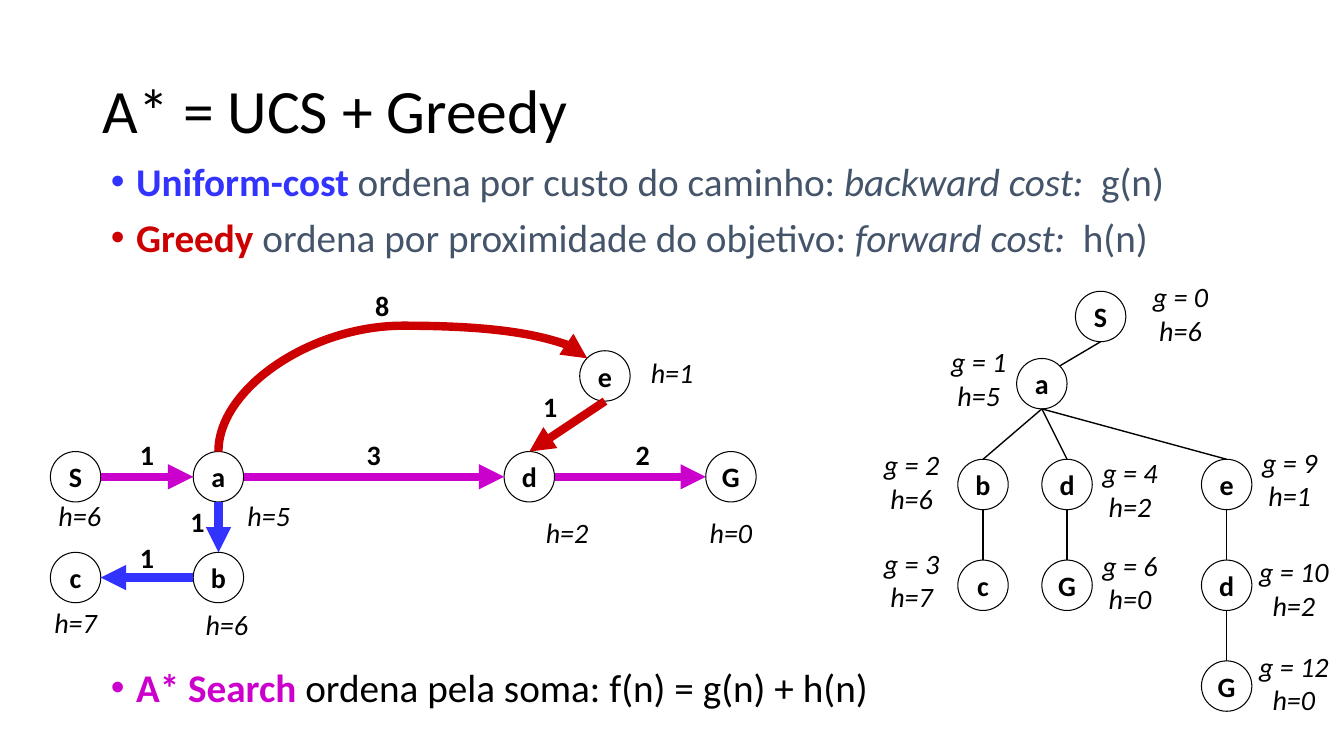
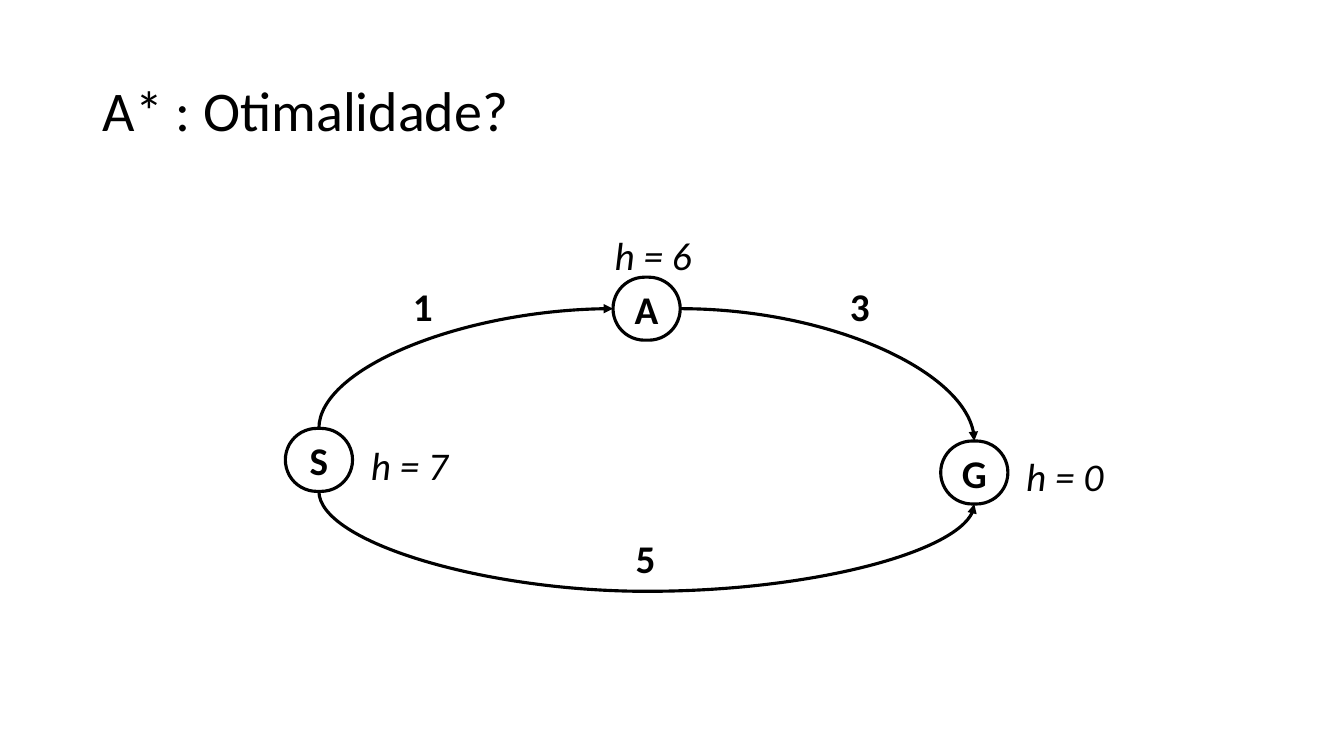
from collections import namedtuple

from lxml.etree import SubElement as Sub
from pptx import Presentation
from pptx.dml.color import RGBColor as RGB
from pptx.enum.shapes import MSO_CONNECTOR as Link, MSO_SHAPE as Form
from pptx.enum.text import MSO_ANCHOR as Anchor, MSO_AUTO_SIZE as Fit, PP_ALIGN as Align
from pptx.oxml.ns import qn
from pptx.util import Inches, Pt

FONT = "Calibri"
BLACK, WHITE = RGB(0, 0, 0), RGB(255, 255, 255)
BLUE, RED = RGB(0x33, 0x33, 0xFF), RGB(0xCC, 0, 0)
PURPLE, SLATE = RGB(0xCC, 0, 0xCC), RGB(0x44, 0x54, 0x6A)

WIDE, HIGH = Inches(13.33), Inches(7.5)
CELL = Inches(1) // 12  # grid step of every diagram

# Points on a node's outline, as shares of its box
PORTS = {"top": (0.5, 0), "left": (0, 0.5), "bottom": (0.5, 1), "right": (1, 0.5),
         "northwest": (0.15, 0.15), "northeast": (0.85, 0.15)}

Look = namedtuple("Look", "form wide high fill line size align room")
Node = namedtuple("Node", "text col row label lcol lrow")
Edge = namedtuple("Edge", "tail out head into color width arrow bend")
Bend = namedtuple("Bend", "kind turn flips adjust")
Mark = namedtuple("Mark", "text col row")

ROUND = Look(Form.OVAL, 6, 6, WHITE, 0.75, 20, Align.CENTER, 12)
PILL = Look(Form.ROUNDED_RECTANGLE, 8, 7.5, None, 2.25, 28, Align.LEFT, 13)


def style(font, size, color=BLACK, bold=None, italic=None):
    font.name, font.size, font.bold, font.italic = FONT, Pt(size), bold, italic
    font.color.rgb = color


def title(slide, text, size):
    box = slide.shapes.title
    box.left, box.top, box.width, box.height = Inches(0.92), Inches(0.4), Inches(11.5), Inches(1.45)
    frame = box.text_frame
    frame.auto_size, frame.vertical_anchor = Fit.NONE, Anchor.MIDDLE
    frame.text = text
    para = frame.paragraphs[0]
    para.alignment, para.line_spacing = Align.LEFT, 0.9
    style(para.font, size)


def bullets(slide, items):
    """Fill the body with (space before, runs) items; a run is (text, colour, bold, italic)."""
    body = slide.placeholders[1]
    body.left, body.top, body.width, body.height = Inches(1), Inches(1.56), Inches(12.33), Inches(5.5)
    frame = body.text_frame
    frame.auto_size = Fit.NONE
    for i, (gap, runs) in enumerate(items):
        para = frame.add_paragraph() if i else frame.paragraphs[0]
        props = para._p.get_or_add_pPr()
        props.set("marL", str(Inches(0.25)))
        props.set("indent", str(-Inches(0.25)))
        para.space_before, para.line_spacing = Pt(gap), 0.9
        for text, color, bold, italic in runs:
            run = para.add_run()
            run.text = text
            style(run.font, 28, color, bold, italic)


def node(slide, x, y, text, look):
    dot = slide.shapes.add_shape(look.form, x, y, int(look.wide * CELL), int(look.high * CELL))
    dot.shadow.inherit = False
    if look.form == Form.ROUNDED_RECTANGLE:
        dot.adjustments[0] = 0.5
    if look.fill is None:
        dot.fill.background()
    else:
        dot.fill.solid()
        dot.fill.fore_color.rgb = look.fill
    dot.line.color.rgb, dot.line.width = BLACK, Pt(look.line)
    frame = dot.text_frame
    frame.word_wrap, frame.vertical_anchor = False, Anchor.MIDDLE
    frame.text = text
    para = frame.paragraphs[0]
    para.alignment = Align.CENTER
    style(para.font, look.size, bold=True)
    return dot


def label(slide, x, y, text, look, bold=False):
    """Write text centred on x, or starting at x, as the look asks."""
    wide = look.room * CELL
    if look.align == Align.CENTER:
        x -= wide // 2
    box = slide.shapes.add_textbox(x, y, wide, Pt(look.size * 1.5))
    frame = box.text_frame
    frame.word_wrap = True
    frame.text = text
    para = frame.paragraphs[0]
    para.alignment = look.align
    style(para.font, look.size, bold=bold, italic=not bold)


def port(dot, side):
    across, down = PORTS[side]
    return int(dot.left + across * dot.width), int(dot.top + down * dot.height)


def curve(slide, start, end, bend):
    """Add a curved connector whose box is turned about its centre."""
    (ax, ay), (bx, by) = start, end
    wide, high = abs(bx - ax), abs(by - ay)
    if bend.turn % 180:
        wide, high = high, wide
    left, top = (ax + bx - wide) // 2, (ay + by - high) // 2
    line = slide.shapes.add_connector(Link.CURVE, left, top, left + wide, top + high)
    props = line.element.spPr
    frame, geom = props.find(qn("a:xfrm")), props.find(qn("a:prstGeom"))
    frame.set("rot", str(bend.turn * 60000))
    for axis in bend.flips:
        frame.set("flip" + axis, "1")
    geom.set("prst", bend.kind)
    if bend.adjust:
        guide = Sub(geom.find(qn("a:avLst")), qn("a:gd"))
        guide.set("name", "adj1")
        guide.set("fmla", f"val {round(bend.adjust * 100000)}")
    return line


def join(slide, dots, edge):
    start, end = port(dots[edge.tail], edge.out), port(dots[edge.head], edge.into)
    if edge.bend:
        line = curve(slide, start, end, edge.bend)
    else:
        line = slide.shapes.add_connector(Link.STRAIGHT, *start, *end)
    line.line.color.rgb, line.line.width = edge.color, Pt(edge.width)
    props = line.element.spPr
    if edge.arrow:
        Sub(props.find(qn("a:ln")), qn("a:tailEnd")).set("type", "triangle")
    Sub(props, qn("a:effectLst"))


def graph(slide, left, top, look, nodes, edges, marks=()):
    """Draw nodes, edges and labels on a grid whose corner is at left, top."""
    def spot(col, row):
        return int(left + col * CELL), int(top + row * CELL)

    dots = {key: node(slide, *spot(n.col, n.row), n.text, look) for key, n in nodes.items()}
    for edge in edges:
        join(slide, dots, edge)
    for n in nodes.values():
        label(slide, *spot(n.lcol, n.lrow), n.label, look)
    for mark in marks:
        label(slide, *spot(mark.col, mark.row), mark.text, look, bold=True)


def space(slide, left, top):
    """State graph with the paths of the three searches."""
    nodes = {
        "S": Node("S", 0, 12, "h=6", 3.5, 17),
        "a": Node("a", 17, 12, "h=5", 26, 17),
        "d": Node("d", 54, 12, "h=2", 61.5, 19),
        "G": Node("G", 78, 12, "h=0", 81, 19),
        "b": Node("b", 17, 24, "h=6", 21, 30),
        "c": Node("c", 0, 24, "h=7", 3, 29.75),
        "e": Node("e", 63, 0, "h=1", 74, 0),
    }
    arc = Bend("curvedConnector3", 270, "", 1.35)
    routes = [
        ("a", "bottom", "b", "top", BLUE, None),
        ("b", "left", "c", "right", BLUE, None),
        ("e", "bottom", "d", "top", RED, None),
        ("a", "top", "e", "northwest", RED, arc),
        ("d", "right", "G", "left", PURPLE, None),
        ("S", "right", "a", "left", PURPLE, None),
        ("a", "right", "d", "left", PURPLE, None),
    ]
    edges = [Edge(*ends, color, 6, True, bend) for *ends, color, bend in routes]
    marks = [Mark("1", 11.5, 9.75), Mark("8", 39.5, -8), Mark("1", 11.5, 22),
             Mark("1", 17.5, 17.75), Mark("2", 70.5, 9.75), Mark("3", 38.5, 9.75),
             Mark("1", 59.5, 4)]
    graph(slide, left, top, ROUND, nodes, edges, marks)


def tree(slide, left, top):
    """Search tree with the g and h of each node."""
    nodes = {
        "S": Node("S", 14, 0, "g = 0 h=6", 26.5, -2),
        "a": Node("a", 7, 8, "g = 1 h=5", 2.5, 5.75),
        "b": Node("b", 0, 20, "g = 2 h=6", -5.5, 18),
        "bc": Node("c", 0, 32, "g = 3 h=7", -5.5, 29.75),
        "e": Node("e", 29, 20, "g = 9 h=1", 39.5, 17.75),
        "d": Node("d", 10, 20, "g = 4 h=2", 20.5, 19),
        "ed": Node("d", 29, 32, "g = 10 h=2", 40, 30.75),
        "dG": Node("G", 10, 32, "g = 6 h=0", 20.5, 30),
        "edG": Node("G", 29, 44, "g = 12 h=0", 40, 42),
    }
    pairs = [("S", "a"), ("a", "b"), ("a", "d"), ("a", "e"),
             ("b", "bc"), ("d", "dG"), ("e", "ed"), ("ed", "edG")]
    edges = [Edge(up, "bottom", low, "northeast" if low == "a" else "top", BLACK, 1, False, None)
             for up, low in pairs]
    graph(slide, left, top, ROUND, nodes, edges)


def loop(slide, left, top):
    """Two routes from S to G."""
    nodes = {
        "A": Node("A", 39, 0, "h = 6", 38, -6),
        "G": Node("G", 78, 19.5, "h = 0", 87, 20.25),
        "S": Node("S", 0, 18, "h = 7", 9, 19),
    }
    routes = [
        ("S", "bottom", "G", "bottom", Bend("curvedConnector3", 270, "H", 7.92)),
        ("S", "top", "A", "left", Bend("curvedConnector2", 90, "HV", None)),
        ("A", "right", "G", "top", Bend("curvedConnector2", 0, "", None)),
    ]
    edges = [Edge(*ends, BLACK, 2.25, True, bend) for *ends, bend in routes]
    marks = [Mark("1", 14, 0), Mark("3", 66, 0), Mark("5", 40.5, 30)]
    graph(slide, left, top, PILL, nodes, edges, marks)


def main():
    deck = Presentation()
    deck.slide_width, deck.slide_height = WIDE, HIGH

    slide = deck.slides.add_slide(deck.slide_layouts[1])
    title(slide, "A* = UCS + Greedy", 44)
    bullets(slide, [
        (0, [("Uniform-cost ", BLUE, True, False),
             ("ordena por custo do caminho: ", SLATE, False, False),
             ("backward cost:  ", SLATE, False, True), ("g(n)", SLATE, False, False)]),
        (10, [("Greedy ", RED, True, False),
              ("ordena por proximidade do objetivo: ", SLATE, False, False),
              ("forward cost:  ", SLATE, False, True), ("h(n)", SLATE, False, False)]),
        (291, [("A* Search ", PURPLE, True, False),
               ("ordena pela soma: f(n) = g(n) + h(n)", BLACK, False, False)]),
    ])
    space(slide, Inches(0.5), Inches(3.48))
    tree(slide, Inches(9.5), Inches(2.89))

    slide = deck.slides.add_slide(deck.slide_layouts[5])
    title(slide, "A* : Otimalidade?", 40)
    loop(slide, Inches(2.83), Inches(2.75))

    deck.save("out.pptx")


if __name__ == "__main__":
    main()
